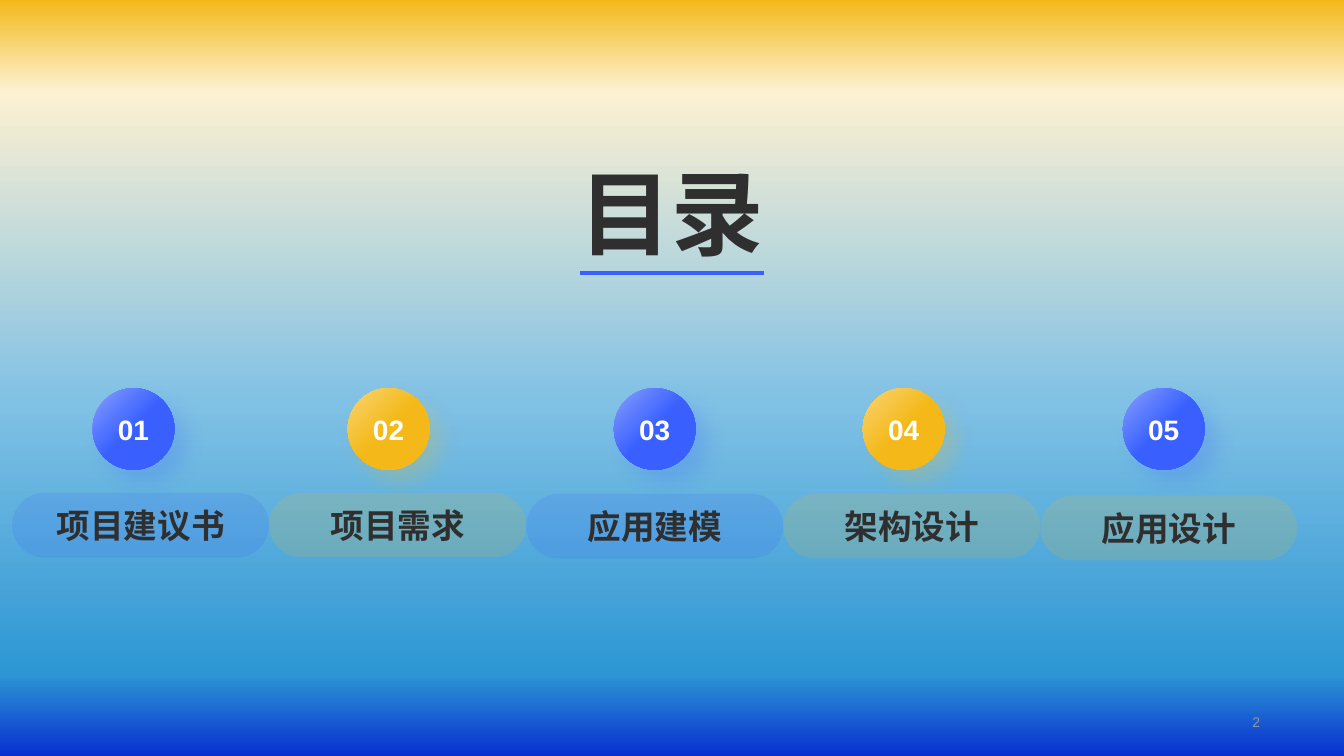
from dataclasses import dataclass

from lxml.etree import Element, SubElement
from pptx import Presentation
from pptx.dml.color import RGBColor
from pptx.enum.shapes import MSO_CONNECTOR, MSO_SHAPE
from pptx.enum.text import MSO_ANCHOR, MSO_AUTO_SIZE, PP_ALIGN
from pptx.oxml.ns import qn
from pptx.util import Pt


@dataclass(frozen=True)
class Theme:
    blue: str = "3960FF"
    gold: str = "F4B919"
    pale_blue: str = "88A0FF"
    pale_gold: str = "F8D575"
    ink: str = "2F2F2F"
    white: str = "FFFFFF"
    grey: str = "979797"
    sky: tuple = ((0, "F4B919"), (12, "FDF1D1"), (53, "81C1E5"),
                  (89, "2D97D4"), (100, "0830D0"))
    font: str = "Arial"
    title: int = 66
    label: int = 24
    number: int = 20
    small: int = 10


@dataclass(frozen=True)
class Topic:
    label: str
    ball_x: float
    pill_y: float
    ball: str
    light: str
    pill: str


THEME = Theme()
BLUE = (THEME.blue, THEME.pale_blue)
GOLD = (THEME.gold, THEME.pale_gold)
TOPICS = (
    Topic("项目建议书", 66.2, 352.1, *BLUE, THEME.blue),
    Topic("项目需求", 248.4, 352.1, *GOLD, THEME.gold),
    Topic("应用建模", 438.5, 352.8, *BLUE, THEME.blue),
    Topic("架构设计", 616.3, 352.8, *GOLD, THEME.gold),
    Topic("应用设计", 802.1, 354.2, *BLUE, THEME.gold),
)
BALL_Y, BALL_SIZE = 277.2, 58.4
PILL_X, PILL_W, PILL_H = 8.64, 183.6, 46.1


def add_alpha(color, percent: int) -> None:
    SubElement(color, qn("a:alpha"), val=str(percent * 1000))


def set_grad(owner, stops, angle: int) -> None:
    """Swap the solid fill of an element for a linear gradient."""
    grad = Element(qn("a:gradFill"), rotWithShape="1")
    items = SubElement(grad, qn("a:gsLst"))
    for place, color in stops:
        stop = SubElement(items, qn("a:gs"), pos=str(place * 1000))
        SubElement(stop, qn("a:srgbClr"), val=color)
    SubElement(grad, qn("a:lin"), ang=str(angle * 60000), scaled="0")
    owner.replace(owner.find(qn("a:solidFill")), grad)


def add_glow(shape, color: str) -> None:
    """Give a shape a soft shadow down to the right."""
    effects = shape.element.spPr.find(qn("a:effectLst"))
    glow = SubElement(effects, qn("a:outerShdw"), blurRad=str(Pt(14)),
                      dist=str(Pt(12)), dir=str(45 * 60000),
                      algn="tl", rotWithShape="0")
    add_alpha(SubElement(glow, qn("a:srgbClr"), val=color), 20)


def set_text(shape, text: str, size: int, color: str, bold: bool = True,
             align=PP_ALIGN.CENTER, anchor=MSO_ANCHOR.MIDDLE) -> None:
    frame = shape.text_frame
    frame.text = text
    frame.word_wrap = True
    frame.auto_size = MSO_AUTO_SIZE.NONE
    frame.vertical_anchor = anchor
    line = frame.paragraphs[0]
    line.alignment = align
    line.line_spacing = 1.0
    font = line.runs[0].font
    font.name, font.size, font.bold = THEME.font, Pt(size), bold
    font.color.rgb = RGBColor.from_string(color)


def add_form(slide, kind, left: float, top: float, width: float,
             height: float, color: str):
    shape = slide.shapes.add_shape(kind, Pt(left), Pt(top), Pt(width), Pt(height))
    shape.shadow.inherit = False
    shape.fill.solid()
    shape.fill.fore_color.rgb = RGBColor.from_string(color)
    shape.line.fill.background()
    return shape


def add_topic(slide, index: int, topic: Topic) -> None:
    # Numbered ball
    ball = add_form(slide, MSO_SHAPE.OVAL, topic.ball_x, BALL_Y,
                    BALL_SIZE, BALL_SIZE, topic.ball)
    set_grad(ball.element.spPr, ((0, topic.light), (50, topic.ball)), 45)
    add_glow(ball, topic.ball)
    ball.text_frame.margin_left = ball.text_frame.margin_right = 0
    set_text(ball, f"{index + 1:02d}", THEME.number, THEME.white)

    # Label pill
    pill = add_form(slide, MSO_SHAPE.ROUNDED_RECTANGLE, PILL_X + index * PILL_W,
                    topic.pill_y, PILL_W, PILL_H, topic.pill)
    pill.adjustments[0] = 0.5
    add_alpha(pill.element.spPr.find(qn("a:solidFill"))[0], 15)
    set_text(pill, topic.label, THEME.label, THEME.ink)


def main() -> None:
    deck = Presentation()
    deck.slide_width, deck.slide_height = Pt(960), Pt(540)
    slide = deck.slides.add_slide(deck.slide_layouts[5])

    # Background
    slide.background.fill.solid()
    set_grad(slide.element.find(".//" + qn("p:bgPr")), THEME.sky, 90)

    # Title and its rule
    title = slide.shapes.title
    title.left, title.top = Pt(394.4), Pt(108)
    title.width, title.height = Pt(171.2), Pt(87.1)
    set_text(title, "目录", THEME.title, THEME.ink, anchor=MSO_ANCHOR.TOP)
    rule = slide.shapes.add_connector(MSO_CONNECTOR.STRAIGHT, Pt(414),
                                      Pt(195.1), Pt(546), Pt(195.1))
    rule.line.color.rgb = RGBColor.from_string(THEME.blue)
    rule.line.width = Pt(2.5)
    SubElement(rule.element.spPr, qn("a:effectLst"))

    # Topics
    for index, topic in enumerate(TOPICS):
        add_topic(slide, index, topic)

    # Page number
    page = slide.shapes.add_textbox(Pt(697.7), Pt(506.9), Pt(209.5), Pt(17.3))
    set_text(page, "2", THEME.small, THEME.grey, False, PP_ALIGN.RIGHT)

    deck.save("out.pptx")


if __name__ == "__main__":
    main()
